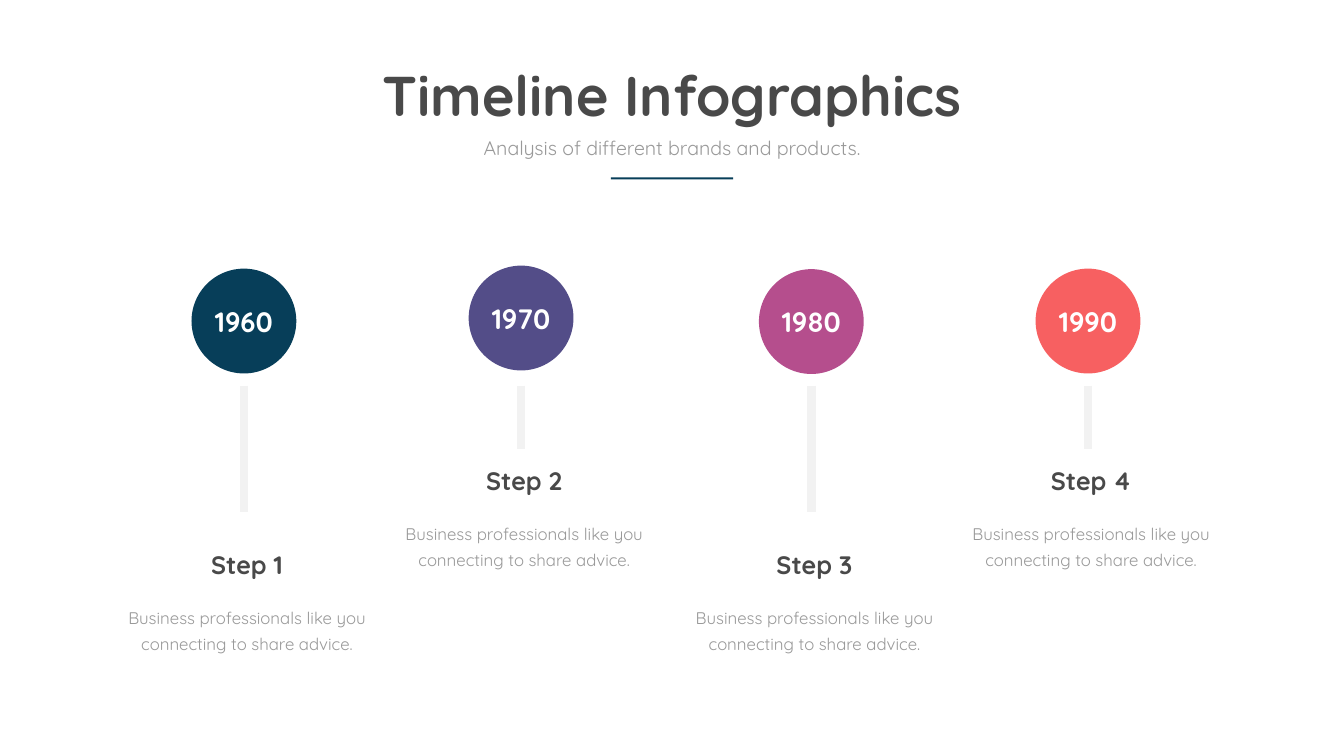
from lxml import etree
from pptx import Presentation
from pptx.dml.color import RGBColor
from pptx.enum.shapes import MSO_CONNECTOR, MSO_SHAPE
from pptx.enum.text import MSO_ANCHOR, MSO_AUTO_SIZE, PP_ALIGN
from pptx.oxml.ns import qn
from pptx.util import Inches, Pt

STRAIGHT = MSO_CONNECTOR.STRAIGHT
OVAL, RECTANGLE = MSO_SHAPE.OVAL, MSO_SHAPE.RECTANGLE
TOP, MIDDLE = MSO_ANCHOR.TOP, MSO_ANCHOR.MIDDLE
CENTER = PP_ALIGN.CENTER
NO_FIT = MSO_AUTO_SIZE.NONE

FONT = "Quicksand"
DARK, GREY, PALE, WHITE, NAVY = "494949", "999999", "F2F2F2", "FFFFFF", "073E59"
WIDTH, HEIGHT = 26.67, 15
MIDLINE = WIDTH / 2


def color(value):
    return RGBColor.from_string(value)


def write(shape, text, size, fill, bold=False, anchor=TOP, spacing=None):
    """Put one centred, formatted paragraph into a shape."""
    frame = shape.text_frame
    frame.text = text
    frame.word_wrap = True
    frame.auto_size = NO_FIT
    frame.vertical_anchor = anchor
    frame.margin_left = frame.margin_right = Inches(0.04)
    frame.margin_top = frame.margin_bottom = Inches(0.04)
    para = frame.paragraphs[0]
    para.alignment = CENTER
    para.space_before = Pt(0)
    para.line_spacing = Pt(spacing) if spacing else 1.0
    font = para.runs[0].font
    font.name, font.size, font.bold = FONT, Pt(size), bold
    font.color.rgb = color(fill)


deck = Presentation()
deck.slide_width, deck.slide_height = Inches(WIDTH), Inches(HEIGHT)
page = deck.slides.add_slide(deck.slide_layouts[0])
shapes = page.shapes

# Heading: title, subtitle and rule share the slide's midline
title, subtitle = page.placeholders
headings = [
    (title, "Timeline Infographics", 1.17, 11.72, 1.45, 80, DARK, True),
    (subtitle, "Analysis of different brands and products.",
     2.65, 9.56, 0.57, 28, GREY, False),
]
for box, text, top, width, height, size, fill, bold in headings:
    box.left, box.top = Inches(MIDLINE - width / 2), Inches(top)
    box.width, box.height = Inches(width), Inches(height)
    write(box, text, size, fill, bold)

rule_width = 2.43
rule = shapes.add_shape(RECTANGLE, Inches(MIDLINE - rule_width / 2),
                        Inches(3.52), Inches(rule_width), Inches(0.04))
rule.shadow.inherit = False
rule.fill.solid()
rule.fill.fore_color.rgb = color(NAVY)
rule.line.fill.background()

# Timeline: column centre, circle top, year, colour; odd steps hang lower
DISC, STEM_TOP, STEM = 2.08, 7.65, 1.25
LABEL_WIDTH, LABEL_HEIGHT = 6.2, 0.71
BODY_WIDTH, BODY_HEIGHT, BODY_DROP = 4.95, 1.08, 1.05
ADVICE = "Business professionals like you connecting to share advice."
steps = [
    (4.84, 5.33, "1960", NAVY),
    (10.34, 5.27, "1970", "534D88"),
    (16.1, 5.34, "1980", "B54E8D"),
    (21.59, 5.33, "1990", "F76061"),
]
for number, (center, disc_top, year, fill) in enumerate(steps, 1):
    low = number % 2
    stem_length = STEM * (1 + low)
    label_top = 10.86 if low else 9.2
    text_center = center + 0.06

    stem = shapes.add_connector(STRAIGHT, Inches(center), Inches(STEM_TOP),
                                Inches(center), Inches(STEM_TOP + stem_length))
    stem.line.color.rgb = color(PALE)
    stem.line.width = Pt(12)
    etree.SubElement(stem._element.spPr, qn("a:effectLst"))

    disc = shapes.add_shape(OVAL, Inches(center - DISC / 2), Inches(disc_top),
                            Inches(DISC), Inches(DISC))
    disc.shadow.inherit = False
    disc.fill.solid()
    disc.fill.fore_color.rgb = color(fill)
    disc.line.fill.background()
    write(disc, year, 40, WHITE, True, MIDDLE)

    label = shapes.add_textbox(Inches(text_center - LABEL_WIDTH / 2), Inches(label_top),
                               Inches(LABEL_WIDTH), Inches(LABEL_HEIGHT))
    write(label, f"Step {number}", 36, DARK, True)

    body = shapes.add_textbox(Inches(text_center - BODY_WIDTH / 2),
                              Inches(label_top + BODY_DROP),
                              Inches(BODY_WIDTH), Inches(BODY_HEIGHT))
    write(body, ADVICE, 24, GREY, spacing=36.6)

deck.save("out.pptx")
